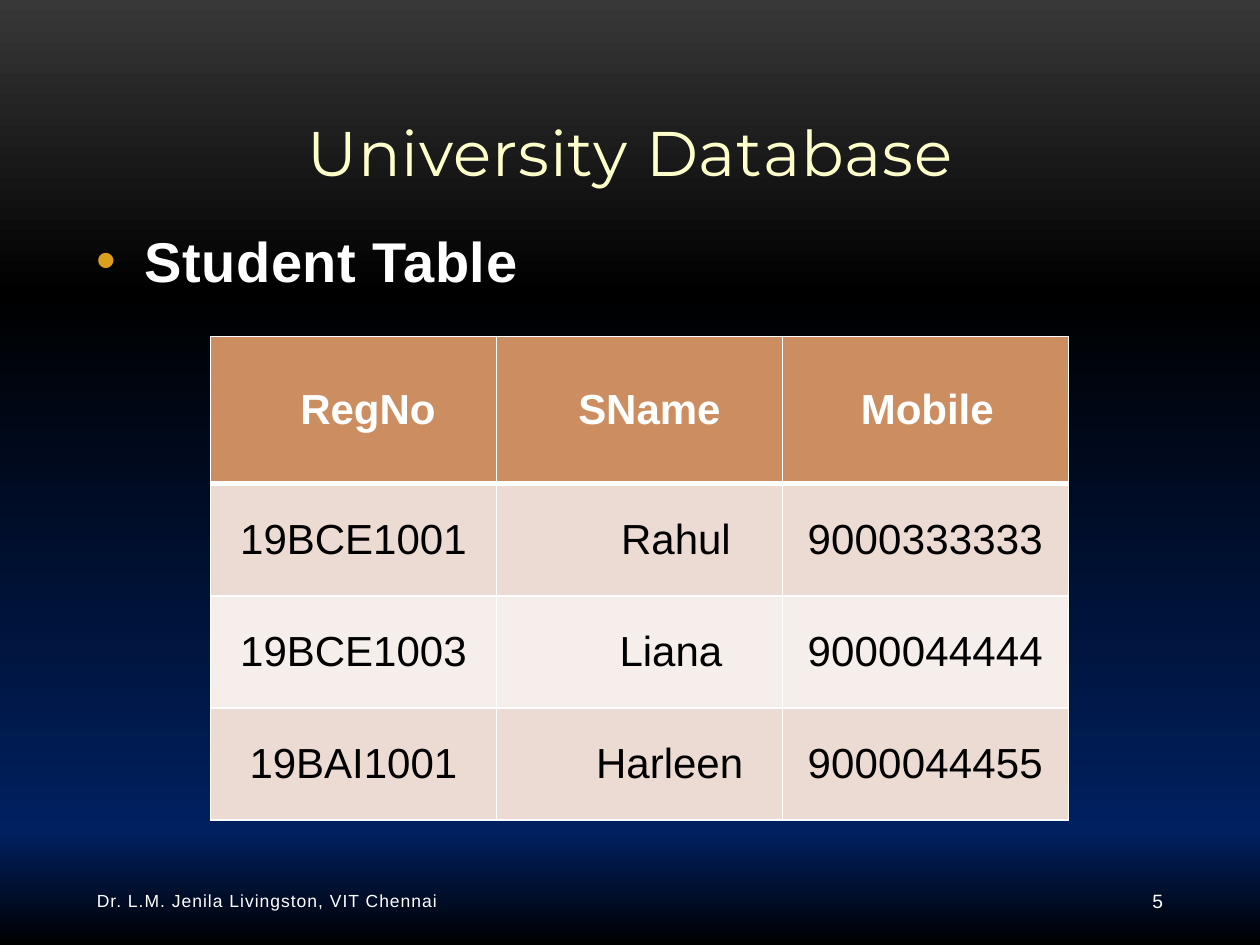
from lxml.etree import SubElement
from pptx import Presentation
from pptx.dml.color import RGBColor
from pptx.enum.text import MSO_ANCHOR, PP_ALIGN
from pptx.oxml import parse_xml
from pptx.oxml.ns import nsdecls, qn
from pptx.util import Inches, Pt

COLORS = {
    "title": "FFFFCC", "white": "FFFFFF", "black": "000000", "bullet": "DC9E1F",
    "header": "CC8E60", "odd": "ECDBD2", "even": "F6EEEA",
}
GRADIENT = [(0, "383838"), (31, "000000"), (88, "002060"), (100, "000000")]
TITLE = "University Database"
HEADING = "Student Table"
FOOTER = "Dr. L.M. Jenila Livingston, VIT Chennai"
PAGE = "5"
STUDENTS = [
    ["RegNo", "SName", "Mobile"],
    ["19BCE1001", "Rahul", "9000333333"],
    ["19BCE1003", "Liana", "9000044444"],
    ["19BAI1001", "Harleen", "9000044455"],
]
INDENTS = [[0.23, 0.16, 0.03], [0, 0.58, 0], [0, 0.5, 0], [0, 0.48, 0]]
COL_WIDTH = 2.27
ROW_HEIGHTS = [1.17, 0.89, 0.89, 0.89]


def style(p, size, color, font="Arial", bold=False, spacing=0):
    for r in p.runs:
        r.font.size, r.font.name, r.font.bold = Pt(size), font, bold
        r.font.color.rgb = RGBColor.from_string(COLORS[color])
        if spacing:
            r._r.get_or_add_rPr().set("spc", str(round(spacing * 100)))


def add_text(s, text, box, anchor=MSO_ANCHOR.MIDDLE):
    tf = s.shapes.add_textbox(*map(Inches, box)).text_frame
    tf.word_wrap = True
    tf.vertical_anchor = anchor
    tf.text = text
    return tf.paragraphs[0]


def set_background(s):
    fill = s.background.fill
    fill.gradient()
    fill.gradient_angle = 270
    stops = next(s._element.iter(qn("a:gsLst")))
    for stop in list(stops):
        stops.remove(stop)
    for pos, color in GRADIENT:
        stop = SubElement(stops, qn("a:gs"), pos=str(pos * 1000))
        SubElement(stop, qn("a:srgbClr"), val=color)


def set_borders(cell, widths):
    tcPr = cell._tc.get_or_add_tcPr()
    for i, (side, width) in enumerate(widths.items()):
        tcPr.insert(i, parse_xml(
            f'<a:ln{side} {nsdecls("a")} w="{Pt(width)}"><a:solidFill>'
            f'<a:srgbClr val="{COLORS["white"]}"/></a:solidFill></a:ln{side}>'))


def add_students(s):
    rows, cols = len(STUDENTS), len(STUDENTS[0])
    table = s.shapes.add_table(
        rows, cols, Inches(1.67), Inches(2.67),
        Inches(COL_WIDTH * cols), Inches(sum(ROW_HEIGHTS))).table
    for col in table.columns:
        col.width = Inches(COL_WIDTH)
    for i, values in enumerate(STUDENTS):
        table.rows[i].height = Inches(ROW_HEIGHTS[i])
        header = i == 0
        fill = "header" if header else "odd" if i % 2 else "even"
        for j, value in enumerate(values):
            cell = table.cell(i, j)
            cell.text = value
            cell.vertical_anchor = MSO_ANCHOR.MIDDLE
            cell.margin_left = cell.margin_right = 0
            cell.margin_top = cell.margin_bottom = 0
            cell.fill.solid()
            cell.fill.fore_color.rgb = RGBColor.from_string(COLORS[fill])
            set_borders(cell, {"L": 1, "R": 1, "T": 3 if i == 1 else 1, "B": 3 if header else 1})
            p = cell.text_frame.paragraphs[0]
            p.alignment = PP_ALIGN.CENTER
            p._p.get_or_add_pPr().set("marL", str(Inches(INDENTS[i][j])))
            style(p, 24, "white" if header else "black", bold=header,
                  spacing=0.1 if j == 2 and not header else 0)


def main():
    """Build the university database slide."""
    prs = Presentation()
    prs.slide_width, prs.slide_height = Inches(10), Inches(7.5)
    s = prs.slides.add_slide(prs.slide_layouts[5])
    set_background(s)

    title = s.shapes.title
    title.left, title.top, title.width, title.height = map(Inches, (0.67, 0.3, 8.67, 1.25))
    tf = title.text_frame
    tf.text = TITLE
    tf.vertical_anchor = MSO_ANCHOR.BOTTOM
    p = tf.paragraphs[0]
    p.alignment = PP_ALIGN.CENTER
    style(p, 36, "title", "Montserrat", spacing=0.5)

    p = add_text(s, HEADING, (0.67, 1.75, 8.67, 0.75), MSO_ANCHOR.TOP)
    pPr = p._p.get_or_add_pPr()
    pPr.set("marL", str(Inches(0.38)))
    pPr.set("indent", str(Inches(-0.38)))
    SubElement(SubElement(pPr, qn("a:buClr")), qn("a:srgbClr"), val=COLORS["bullet"])
    SubElement(pPr, qn("a:buFont"), typeface="Arial")
    SubElement(pPr, qn("a:buChar"), char="•")
    style(p, 32, "white", bold=True, spacing=0.3)

    add_students(s)
    style(add_text(s, FOOTER, (0.67, 6.95, 3.83, 0.4)), 10, "white", spacing=0.6)
    p = add_text(s, PAGE, (8.25, 6.95, 1.08, 0.4))
    p.alignment = PP_ALIGN.RIGHT
    style(p, 11, "white")
    prs.save("out.pptx")


if __name__ == "__main__":
    main()
